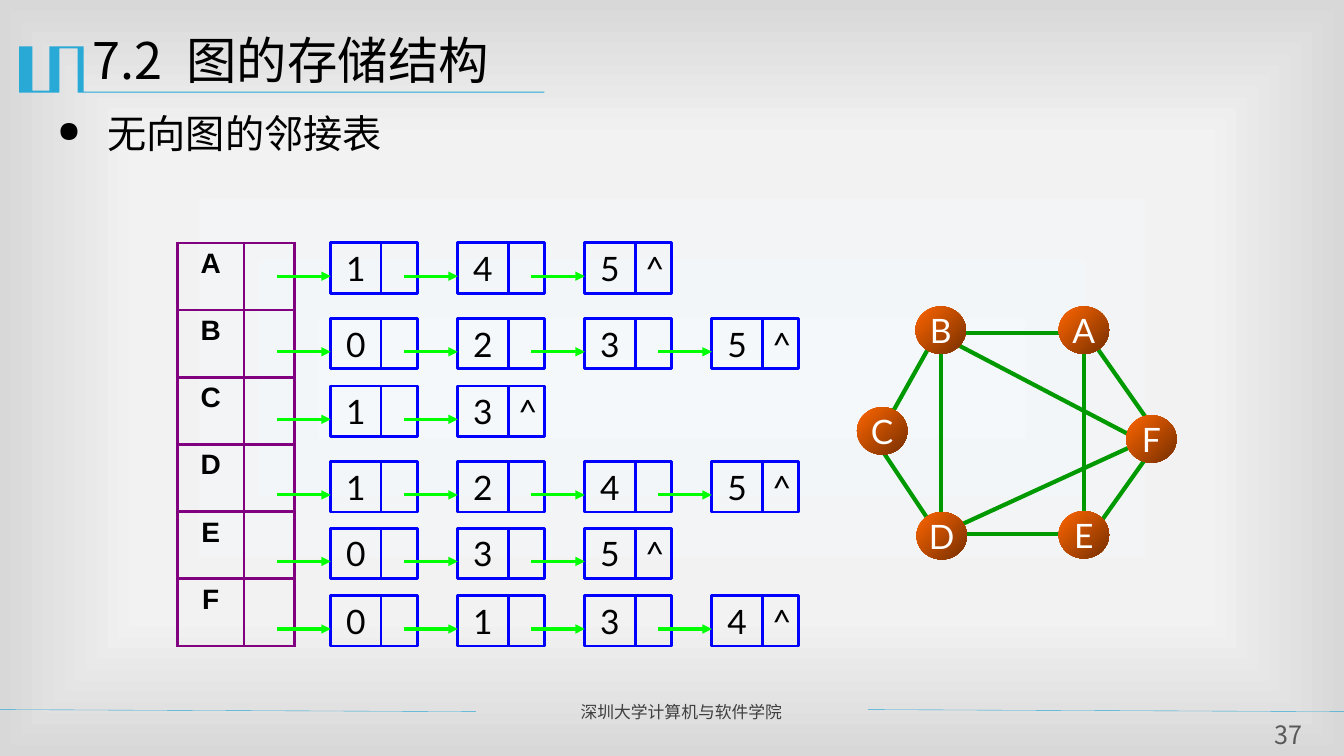
"""Build the slide on adjacency lists of an undirected graph."""
from lxml.etree import SubElement
from pptx import Presentation
from pptx.dml.color import RGBColor
from pptx.enum.shapes import MSO_CONNECTOR, MSO_SHAPE
from pptx.enum.text import MSO_ANCHOR, MSO_AUTO_SIZE, PP_ALIGN
from pptx.oxml import parse_xml
from pptx.oxml.ns import nsdecls, qn
from pptx.util import Inches, Pt

TITLE = "7.2\t图的存储结构"
POINT = "无向图的邻接表"
FOOTER = "深圳大学计算机与软件学院"
NUMBER = "37"
LISTS = [
    ("A", 2.41, "145"),
    ("B", 3.16, "0235"),
    ("C", 3.83, "13"),
    ("D", 4.58, "1245"),
    ("E", 5.24, "035"),
    ("F", 5.91, "0134"),
]
NODES = {
    "B": (9.08, 3.04), "D": (9.09, 5.08), "C": (8.5, 4.04),
    "F": (11.17, 4.12), "E": (10.5, 5.07), "A": (10.5, 3.04),
}
EDGES = [
    (10.58, 3.3, 9.58, 3.3), (10.75, 3.47, 10.75, 5.13),
    (10.83, 3.38, 11.42, 4.22), (9.25, 3.38, 8.83, 4.13),
    (9.33, 5.22, 9.33, 3.47), (11.33, 4.38, 9.42, 3.38),
    (9.25, 5.22, 8.75, 4.47), (10.67, 5.3, 9.42, 5.3),
    (11.33, 4.38, 9.5, 5.22), (11.42, 4.47, 10.83, 5.3),
]
RULES = [(-0.01, 7.04, 4.72, 7.06), (8.61, 7.04, 13.33, 7.06)]
EMBLEM = [
    (82, 46), (83, 46), (83, 91), (540, 91), (540, 92),
    (77, 92), (77, 48), (59, 48), (59, 92), (19, 92),
    (19, 46), (32, 46), (32, 90), (49, 90), (49, 46),
]
COLORS = {
    "black": "000000", "white": "FFFFFF", "accent": "28A9D6",
    "footer": "3F3F3F", "number": "595959", "edge": "009900",
    "light": "FF6600", "dark": "762F00", "grid": "800080",
    "cell": "0000FF", "arrow": "00FF00",
}
BACK = [(0, "F4F8FB"), (63, "F2F2F2"), (100, "D8D8D8")]
CJK, LATIN, BOLD = "Noto Sans CJK SC", "Lato", "Arial"
LEFT, STEP, DATA, LINK, SIDE = 3.28, 1.26, 0.5, 0.36, 0.5
REACH, DROP = 0.53, 0.33


def rgb(name):
    return RGBColor.from_string(COLORS[name])


def write(frame, text, size, font, color, align=PP_ALIGN.LEFT,
          anchor=MSO_ANCHOR.MIDDLE, bold=False):
    frame.vertical_anchor = anchor
    para = frame.paragraphs[0]
    para.alignment = align
    run = para.add_run()
    run.text = text
    run.font.size, run.font.name, run.font.bold = Pt(size), font, bold
    run.font.color.rgb = rgb(color)
    if font == CJK:
        SubElement(run.font._element, qn("a:ea")).set("typeface", font)
    return para


def add_text(slide, box, *args, **style):
    frame = slide.shapes.add_textbox(*map(Inches, box)).text_frame
    frame.word_wrap = True
    return write(frame, *args, **style)


def add_line(slide, ends, color, width, arrow=False):
    line = slide.shapes.add_connector(
        MSO_CONNECTOR.STRAIGHT, *map(Inches, ends))
    line.line.color.rgb, line.line.width = rgb(color), Pt(width)
    if arrow:
        SubElement(line.line._get_or_add_ln(),
                   qn("a:tailEnd")).set("type", "triangle")
    SubElement(line._element.spPr, qn("a:effectLst"))


def add_back(slide):
    slide.background.fill.solid()
    stops = "".join(
        f'<a:gs pos="{at * 1000}"><a:srgbClr val="{color}"/></a:gs>'
        for at, color in BACK)
    props = slide.element.cSld.bg.bgPr
    props.replace(props[0], parse_xml(
        f'<a:gradFill {nsdecls("a")}><a:gsLst>{stops}</a:gsLst>'
        '<a:path path="rect"><a:fillToRect l="50000" t="50000" '
        'r="50000" b="50000"/></a:path></a:gradFill>'))


def add_frame(slide):
    draw = slide.shapes.build_freeform(*EMBLEM[0], scale=Inches(0.01))
    draw.add_line_segments(EMBLEM[1:], close=True)
    mark = draw.convert_to_shape()
    mark.shadow.inherit = False
    mark.fill.solid()
    mark.fill.fore_color.rgb = rgb("accent")
    mark.line.fill.background()
    for rule in RULES:
        add_line(slide, rule, "accent", 0.25)
    add_text(slide, (5.66, 6.91, 2.85, 0.3), FOOTER, 12, CJK, "footer")
    add_text(slide, (12.48, 7.13, 0.59, 0.31), NUMBER, 18, CJK, "number",
             align=PP_ALIGN.CENTER)


def add_heads(slide):
    title = slide.shapes.title
    title.left, title.top = Inches(0.82), Inches(0.24)
    title.width, title.height = Inches(12), Inches(0.87)
    title.text_frame.auto_size = MSO_AUTO_SIZE.NONE
    para = write(title.text_frame, TITLE, 36, CJK, "black",
                 anchor=MSO_ANCHOR.TOP)
    tabs = SubElement(para._p.get_or_add_pPr(), qn("a:tabLst"))
    tab = SubElement(tabs, qn("a:tab"))
    tab.set("pos", str(Inches(0.93)))
    tab.set("algn", "l")
    para = add_text(slide, (0.47, 1.04, 12.13, 5.63), POINT, 28, CJK,
                    "black", anchor=MSO_ANCHOR.TOP)
    props = para._p.get_or_add_pPr()
    props.set("marL", str(Inches(0.5)))
    props.set("indent", str(-Inches(0.5)))
    SubElement(props, qn("a:buSzPct")).set("val", "75000")
    SubElement(props, qn("a:buChar")).set("char", "●")


def add_graph(slide):
    for edge in EDGES:
        add_line(slide, edge, "edge", 3)
    for name, (x, y) in NODES.items():
        node = slide.shapes.add_shape(
            MSO_SHAPE.OVAL, *map(Inches, (x, y, 0.5, 0.47)))
        node.shadow.inherit = False
        node.fill.gradient()
        node.fill.gradient_angle = 315
        for stop, color in zip(node.fill.gradient_stops, ("light", "dark")):
            stop.color.rgb = rgb(color)
        node.line.fill.background()
        frame = node.text_frame
        frame.margin_left = frame.margin_right = 0
        frame.word_wrap = False
        write(frame, name, 24, LATIN, "white", PP_ALIGN.CENTER)


def add_heap(slide):
    table = slide.shapes.add_table(
        len(LISTS), 2, *map(Inches, (1.76, 2.41, 1.16, 4))).table
    table.first_row = table.horz_banding = False
    table.columns[0].width, table.columns[1].width = Inches(0.66), Inches(0.5)
    for row, (name, _, _) in zip(table.rows, LISTS):
        for cell in row.cells:
            cell.fill.background()
            for i, side in enumerate(("lnL", "lnR", "lnT", "lnB")):
                cell._tc.get_or_add_tcPr().insert(i, parse_xml(
                    f'<a:{side} {nsdecls("a")} w="{Pt(2.25)}"><a:solidFill>'
                    f'<a:srgbClr val="{COLORS["grid"]}"/></a:solidFill>'
                    f'</a:{side}>'))
        write(row.cells[0].text_frame, name, 20, BOLD, "black",
              PP_ALIGN.CENTER, MSO_ANCHOR.TOP, True)


def add_cell(slide, x, y, width, text):
    cell = slide.shapes.add_shape(
        MSO_SHAPE.RECTANGLE, *map(Inches, (x, y, width, SIDE)))
    cell.shadow.inherit = False
    cell.fill.background()
    cell.line.color.rgb, cell.line.width = rgb("cell"), Pt(2)
    if text:
        write(cell.text_frame, text, 24, LATIN, "black", PP_ALIGN.CENTER)


def add_lists(slide):
    for _, y, items in LISTS:
        for i, item in enumerate(items):
            x = LEFT + i * STEP
            add_cell(slide, x, y, DATA, item)
            add_cell(slide, x + DATA, y, LINK,
                     "^" if i == len(items) - 1 else "")
        for i in range(len(items)):
            x = LEFT + i * STEP
            add_line(slide, (x - REACH, y + DROP, x, y + DROP),
                     "arrow", 2.25, True)


def main():
    deck = Presentation()
    deck.slide_width, deck.slide_height = Inches(13.33), Inches(7.5)
    slide = deck.slides.add_slide(deck.slide_layouts[5])
    for add in (add_back, add_frame, add_heads, add_graph, add_heap,
                add_lists):
        add(slide)
    deck.save("out.pptx")


if __name__ == "__main__":
    main()
